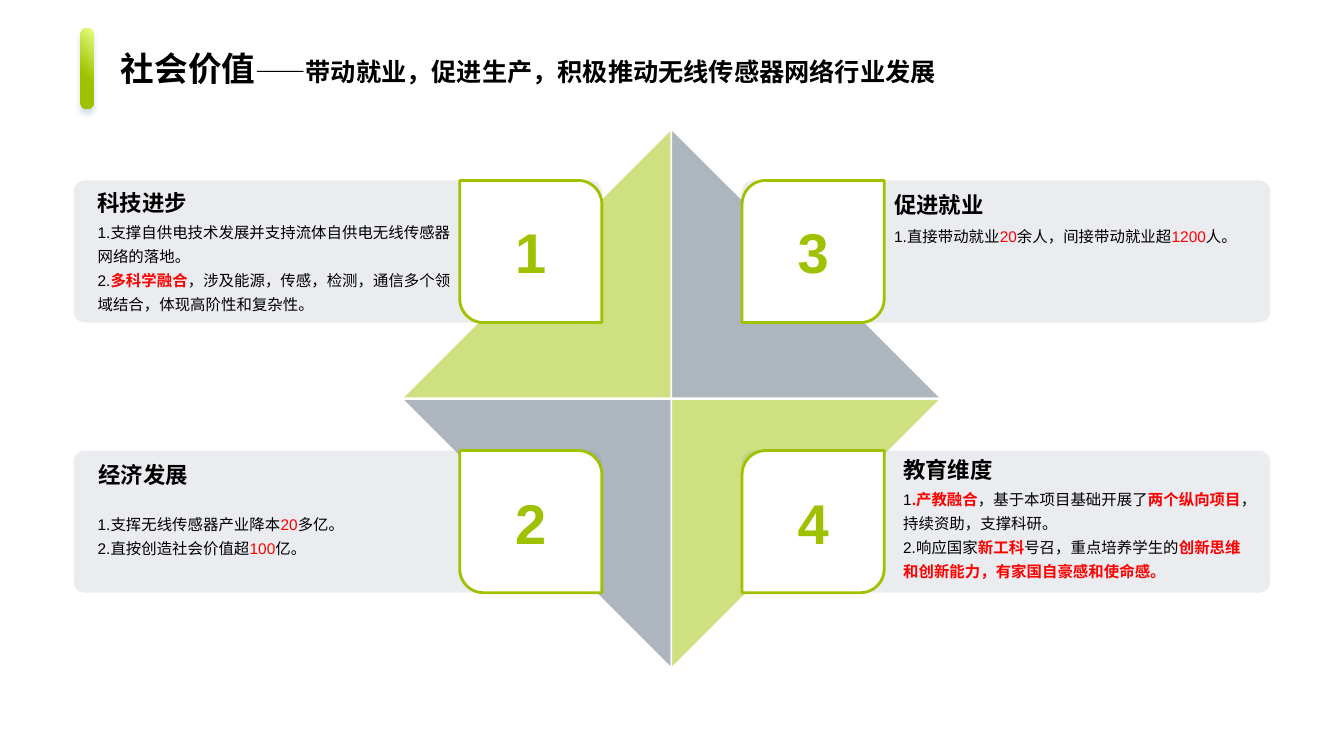
from lxml import etree
from pptx import Presentation
from pptx.dml.color import RGBColor
from pptx.enum.shapes import MSO_SHAPE
from pptx.enum.text import MSO_ANCHOR, MSO_AUTO_SIZE, PP_ALIGN
from pptx.oxml.ns import qn
from pptx.util import Inches, Pt

GREEN = RGBColor(0x9F, 0xC2, 0x00)
LIME = RGBColor(0xE8, 0xFF, 0x81)
GRAY = RGBColor(0xAD, 0xB5, 0xBF)
SLATE = RGBColor(0x77, 0x84, 0x95)
WHITE = RGBColor(0xFF, 0xFF, 0xFF)
BLACK = RGBColor(0x00, 0x00, 0x00)
RED = RGBColor(0xFF, 0x00, 0x00)
SHADOW = "0066A7"

FONT = "Arial"
TRIANGLE, PANEL_WIDTH, CARD = 2.67, 5.24, 1.41

# Run styles: (colour, bold)
PLAIN, FIGURE, STRONG = (BLACK, False), (RED, False), (RED, True)

# Number, column, row, heading, heading offset, body offset, body width, paragraphs.
# Offsets run from the panel's left top corner.
QUADRANTS = [
    (1, 0, 0, "科技进步", (0.14, 0.03), (0.14, 0.32), 3.81, [
        [("1.支撑自供电技术发展并支持流体自供电无线传感器网络的落地。", PLAIN)],
        [("2.", PLAIN), ("多科学融合", STRONG),
         ("，涉及能源，传感，检测，通信多个领域结合，体现高阶性和复杂性。", PLAIN)],
    ]),
    (3, 1, 0, "促进就业", (1.41, 0.05), (1.41, 0.36), 3.56, [
        [("1.直接带动就业", PLAIN), ("20", FIGURE), ("余人，间接带动就业超", PLAIN),
         ("1200", FIGURE), ("人。", PLAIN)],
    ]),
    (2, 0, 1, "经济发展", (0.15, 0.05), (0.14, 0.54), 3.56, [
        [("1.支挥无线传感器产业降本", PLAIN), ("20", FIGURE), ("多亿。", PLAIN)],
        [("2.直按创造社会价值超", PLAIN), ("100", FIGURE), ("亿。", PLAIN)],
    ]),
    (4, 1, 1, "教育维度", (1.5, 0), (1.5, 0.29), 3.56, [
        [("1", PLAIN), (".产教融合", STRONG), ("，基于本项目基础开展了", PLAIN),
         ("两个纵向项目", STRONG), ("，持续资助，支撑科研。", PLAIN)],
        [("2.响应国家", PLAIN), ("新工科", STRONG), ("号召，重点培养学生的", PLAIN),
         ("创新思维和创新能力，有家国自豪感和使命感。", STRONG)],
    ]),
]


def add_block(slide, preset, left, top, width, height, flip_h=False, flip_v=False):
    block = slide.shapes.add_shape(
        preset, Inches(left), Inches(top), Inches(width), Inches(height))
    block.shadow.inherit = False
    xfrm = block._element.spPr.find(qn("a:xfrm"))
    if flip_h:
        xfrm.set("flipH", "1")
    if flip_v:
        xfrm.set("flipV", "1")
    return block


def fill_solid(block, color, opacity=100):
    block.fill.solid()
    block.fill.fore_color.rgb = color
    if opacity < 100:
        tint = block._element.spPr.find(qn("a:solidFill"))[0]
        etree.SubElement(tint, qn("a:alpha"), val=str(opacity * 1000))


def set_line(block, color, width):
    block.line.color.rgb = color
    block.line.width = Pt(width)


def set_font(paragraph, size, color=BLACK, bold=False):
    font = paragraph.font
    font.name, font.size, font.bold = FONT, Pt(size), bold
    font.color.rgb = color


def add_text(slide, left, top, width, height, anchor=MSO_ANCHOR.TOP):
    frame = slide.shapes.add_textbox(
        Inches(left), Inches(top), Inches(width), Inches(height)).text_frame
    frame.word_wrap = True
    frame.auto_size = MSO_AUTO_SIZE.SHAPE_TO_FIT_TEXT
    frame.vertical_anchor = anchor
    return frame


def add_heading(slide, left, top, heading):
    paragraph = add_text(slide, left, top, 3.56, 0.37, MSO_ANCHOR.BOTTOM).paragraphs[0]
    paragraph.text = heading
    set_font(paragraph, 16, bold=True)


def add_body(slide, left, top, width, points):
    frame = add_text(slide, left, top, width, 0.08 + 0.48 * len(points))
    for index, point in enumerate(points):
        paragraph = frame.add_paragraph() if index else frame.paragraphs[0]
        paragraph.line_spacing = 1.3
        set_font(paragraph, 11)
        for text, (color, bold) in point:
            run = paragraph.add_run()
            run.text = text
            run.font.color.rgb = color
            run.font.bold = bold


def add_quadrant(slide, number, column, row, heading, heading_at, body_at, body_width, points):
    on_left = column == 0
    panel_left = (0.73, 7.36)[column]
    card_left = (4.56, 7.36)[column]
    top = (1.79, 4.47)[row]

    # Quarter of the central diamond
    quarter = add_block(slide, MSO_SHAPE.RIGHT_TRIANGLE, (3.99, 6.66)[column],
                        (1.28, 3.96)[row], TRIANGLE, TRIANGLE, on_left, row == 1)
    if column == row:
        fill_solid(quarter, GREEN, 50)
    else:
        fill_solid(quarter, GRAY)
    set_line(quarter, WHITE, 1)

    # Panel with its texts
    panel = add_block(slide, MSO_SHAPE.ROUNDED_RECTANGLE, panel_left, top,
                      PANEL_WIDTH, CARD, on_left)
    panel.adjustments[0] = 0.08
    fill_solid(panel, SLATE, 15)
    panel.line.fill.background()
    add_heading(slide, panel_left + heading_at[0], top + heading_at[1], heading)
    add_body(slide, panel_left + body_at[0], top + body_at[1], body_width, points)

    # Number card
    card = add_block(slide, MSO_SHAPE.ROUND_2_DIAG_RECTANGLE, card_left, top,
                     CARD, CARD, on_left)
    fill_solid(card, WHITE)
    set_line(card, GREEN, 2)
    card.text_frame.vertical_anchor = MSO_ANCHOR.MIDDLE
    paragraph = card.text_frame.paragraphs[0]
    paragraph.text = str(number)
    paragraph.alignment = PP_ALIGN.CENTER
    set_font(paragraph, 40, GREEN, True)


def add_title(slide, left, top):
    # Accent bar
    bar = add_block(slide, MSO_SHAPE.ROUNDED_RECTANGLE, left, top, 0.13, 0.8, True)
    bar.adjustments[0] = 0.449
    bar.line.fill.background()
    bar.fill.gradient()
    bar.fill.gradient_angle = 315
    for stop, color, position in zip(bar.fill.gradient_stops, (LIME, GREEN), (0, 0.6)):
        stop.color.rgb = color
        stop.position = position
    effects = bar._element.spPr.find(qn("a:effectLst"))
    shadow = etree.SubElement(effects, qn("a:outerShdw"), blurRad=str(Pt(4)),
                              dist=str(Pt(4)), dir="5400000", rotWithShape="0")
    tint = etree.SubElement(shadow, qn("a:srgbClr"), val=SHADOW)
    etree.SubElement(tint, qn("a:alpha"), val="20000")

    # Title and subtitle on one line
    paragraph = add_text(slide, left + 0.3, top + 0.15, 8.44, 0.5).paragraphs[0]
    set_font(paragraph, 24, bold=True)
    paragraph.add_run().text = "社会价值"
    subtitle = paragraph.add_run()
    subtitle.text = "——带动就业，促进生产，积极推动无线传感器网络行业发展"
    subtitle.font.size = Pt(18)


def main():
    deck = Presentation()
    deck.slide_width, deck.slide_height = Inches(13.33), Inches(7.5)
    slide = deck.slides.add_slide(deck.slide_layouts[6])
    for quadrant in QUADRANTS:
        add_quadrant(slide, *quadrant)
    add_title(slide, 0.8, 0.28)
    deck.save("out.pptx")


if __name__ == "__main__":
    main()
